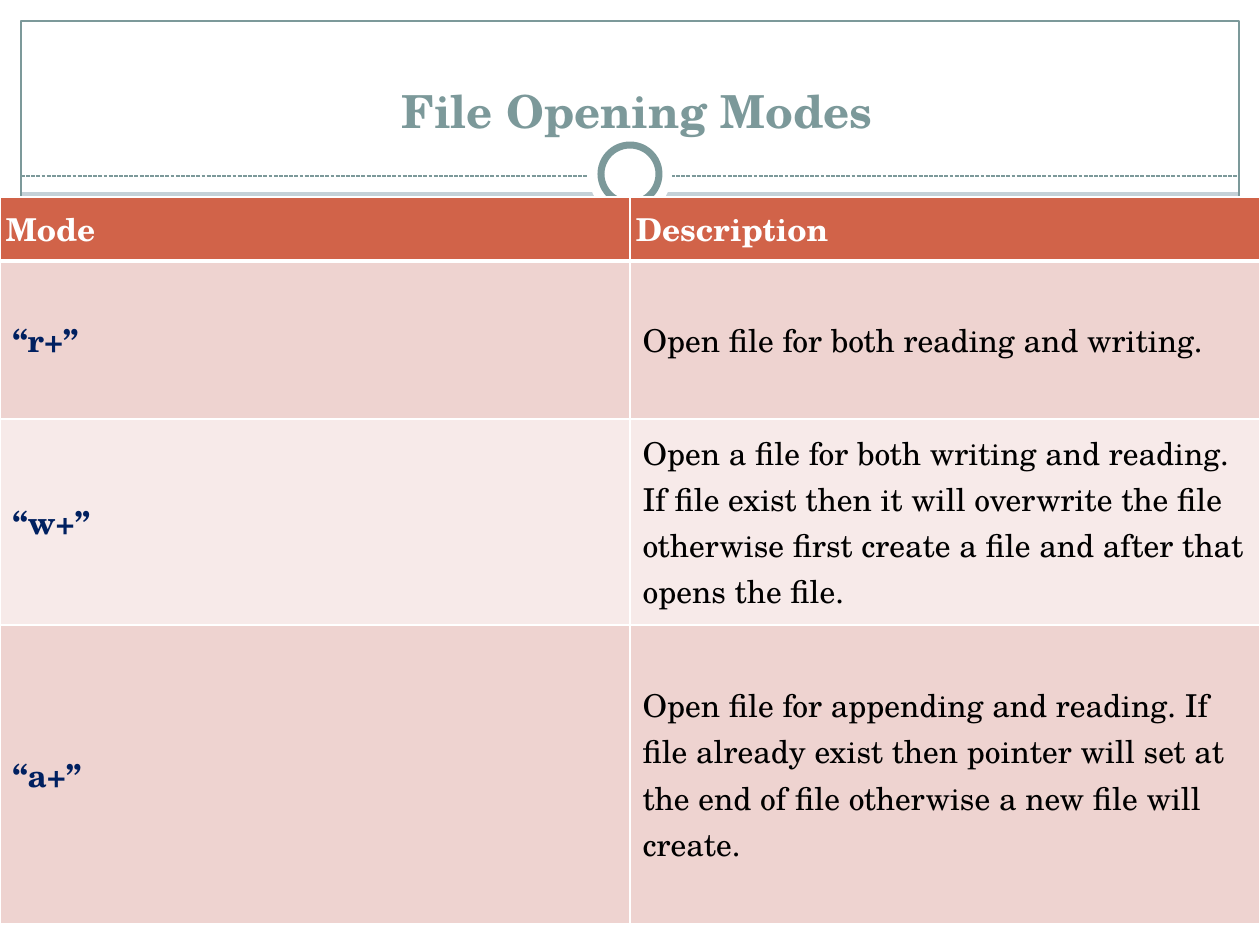
import pptx
import pptx.dml.color
import pptx.enum.dml
import pptx.enum.shapes
import pptx.enum.text
import pptx.oxml
import pptx.oxml.ns
import pptx.util

TITLE = "File Opening Modes"
ROWS = [
    ("Mode", "Description"),
    ("“r+”", "Open file for both reading and writing."),
    ("“w+”", "Open a file for both writing and reading. If file exist then it will "
             "overwrite the file otherwise first create a file and after that opens the file."),
    ("“a+”", "Open file for appending and reading. If file already exist then pointer "
             "will set at the end of file otherwise a new file will create."),
]
ROW_HEIGHTS = [64, 158, 206, 299]
COLORS = {
    "background": "C5D1D7", "white": "FFFFFF", "footer": "8CADAE", "accent": "7C999A",
    "header": "D16349", "band_dark": "EED3D0", "band_light": "F7EAE9",
    "mode": "002060", "description": "000000",
}
FONT = "TeX Gyre Schola"
WIDTH, HEIGHT, MARGIN = 1260, 945, 21
TABLE_TOP, TOP_PANEL, DIVIDER_Y = 197, 192, 176
INNER_WIDTH = WIDTH - 2 * MARGIN
RING_CENTER = (WIDTH // 2, 174)

SHAPES = pptx.enum.shapes.MSO_SHAPE
# kind, (left, top, width, height), fill, line width in points
FRAME = [
    (SHAPES.RECTANGLE, (0, HEIGHT - MARGIN, WIDTH, MARGIN), "white", None),
    (SHAPES.RECTANGLE, (0, 0, WIDTH, TOP_PANEL), "white", None),
    (SHAPES.RECTANGLE, (0, 0, MARGIN, HEIGHT), "white", None),
    (SHAPES.RECTANGLE, (WIDTH - MARGIN, 0, MARGIN, HEIGHT), "white", None),
    (SHAPES.RECTANGLE, (MARGIN, 881, INNER_WIDTH, 43), "footer", None),
    (SHAPES.RECTANGLE, (MARGIN, MARGIN, INNER_WIDTH, HEIGHT - 2 * MARGIN), None, 0.75),
]
RING = [(84, None), (58, 4)]  # diameter, line width in points


def px(value):
    return round(value * 914400 / 126)


def rgb(name):
    return pptx.dml.color.RGBColor.from_string(COLORS[name])


def add_frame_shape(slide, kind, box, fill, line_width):
    shape = slide.shapes.add_shape(kind, *map(px, box))
    shape.shadow.inherit = False
    if fill:
        shape.fill.solid()
        shape.fill.fore_color.rgb = rgb(fill)
    else:
        shape.fill.background()
    if line_width:
        shape.line.color.rgb = rgb("accent")
        shape.line.width = pptx.util.Pt(line_width)
    else:
        shape.line.fill.background()


def add_divider(slide):
    line = slide.shapes.add_connector(
        pptx.enum.shapes.MSO_CONNECTOR.STRAIGHT,
        px(MARGIN), px(DIVIDER_Y), px(WIDTH - MARGIN), px(DIVIDER_Y))
    line.line.color.rgb = rgb("accent")
    line.line.width = pptx.util.Pt(0.75)
    line.line.dash_style = pptx.enum.dml.MSO_LINE.SQUARE_DOT
    properties = line._element.spPr
    properties.append(properties.makeelement(pptx.oxml.ns.qn("a:effectLst"), {}))


def add_run(paragraph, text, size, color, bold):
    run = paragraph.add_run()
    run.text = text
    run.font.name = FONT
    run.font.size = pptx.util.Pt(size)
    run.font.bold = bold
    run.font.color.rgb = rgb(color)


def add_title(slide):
    frame = slide.shapes.add_textbox(*map(px, (49, 39, 1176, 105))).text_frame
    frame.word_wrap = True
    frame.vertical_anchor = pptx.enum.text.MSO_ANCHOR.BOTTOM
    paragraph = frame.paragraphs[0]
    paragraph.alignment = pptx.enum.text.PP_ALIGN.CENTER
    add_run(paragraph, TITLE, 26, "accent", True)


def set_borders(cell, bottom_width):
    """Draw white cell borders; widths are in points."""
    properties = cell._tc.get_or_add_tcPr()
    widths = {"lnL": 1, "lnR": 1, "lnT": 1, "lnB": bottom_width}
    for index, (tag, width) in enumerate(widths.items()):
        properties.insert(index, pptx.oxml.parse_xml(
            f'<a:{tag} {pptx.oxml.ns.nsdecls("a")} w="{pptx.util.Pt(width)}"><a:solidFill>'
            f'<a:srgbClr val="{COLORS["white"]}"/></a:solidFill></a:{tag}>'))


def fill_cell(cell, text, row, column):
    is_header = row == 0
    cell.fill.solid()
    cell.fill.fore_color.rgb = rgb(
        "header" if is_header else "band_dark" if row % 2 else "band_light")
    cell.vertical_anchor = pptx.enum.text.MSO_ANCHOR.MIDDLE
    if is_header:
        cell.margin_left = cell.margin_right = px(6)
        cell.margin_top = cell.margin_bottom = px(6)
    color = "white" if is_header else ("mode", "description")[column]
    add_run(cell.text_frame.paragraphs[0], text, 18, color, is_header or column == 0)
    set_borders(cell, 3 if is_header else 1)


def add_modes_table(slide):
    table = slide.shapes.add_table(
        len(ROWS), 2, 0, px(TABLE_TOP), px(WIDTH), px(sum(ROW_HEIGHTS))).table
    for row, (texts, height) in enumerate(zip(ROWS, ROW_HEIGHTS)):
        table.rows[row].height = px(height)
        for column, text in enumerate(texts):
            fill_cell(table.cell(row, column), text, row, column)


def main():
    presentation = pptx.Presentation()
    presentation.slide_width, presentation.slide_height = px(WIDTH), px(HEIGHT)
    slide = presentation.slides.add_slide(presentation.slide_layouts[6])
    slide.background.fill.solid()
    slide.background.fill.fore_color.rgb = rgb("background")
    for part in FRAME:
        add_frame_shape(slide, *part)
    add_divider(slide)
    for diameter, line_width in RING:
        left, top = (center - diameter // 2 for center in RING_CENTER)
        add_frame_shape(slide, SHAPES.OVAL, (left, top, diameter, diameter),
                        "white", line_width)
    add_title(slide)
    add_modes_table(slide)
    presentation.save("out.pptx")


if __name__ == "__main__":
    main()
